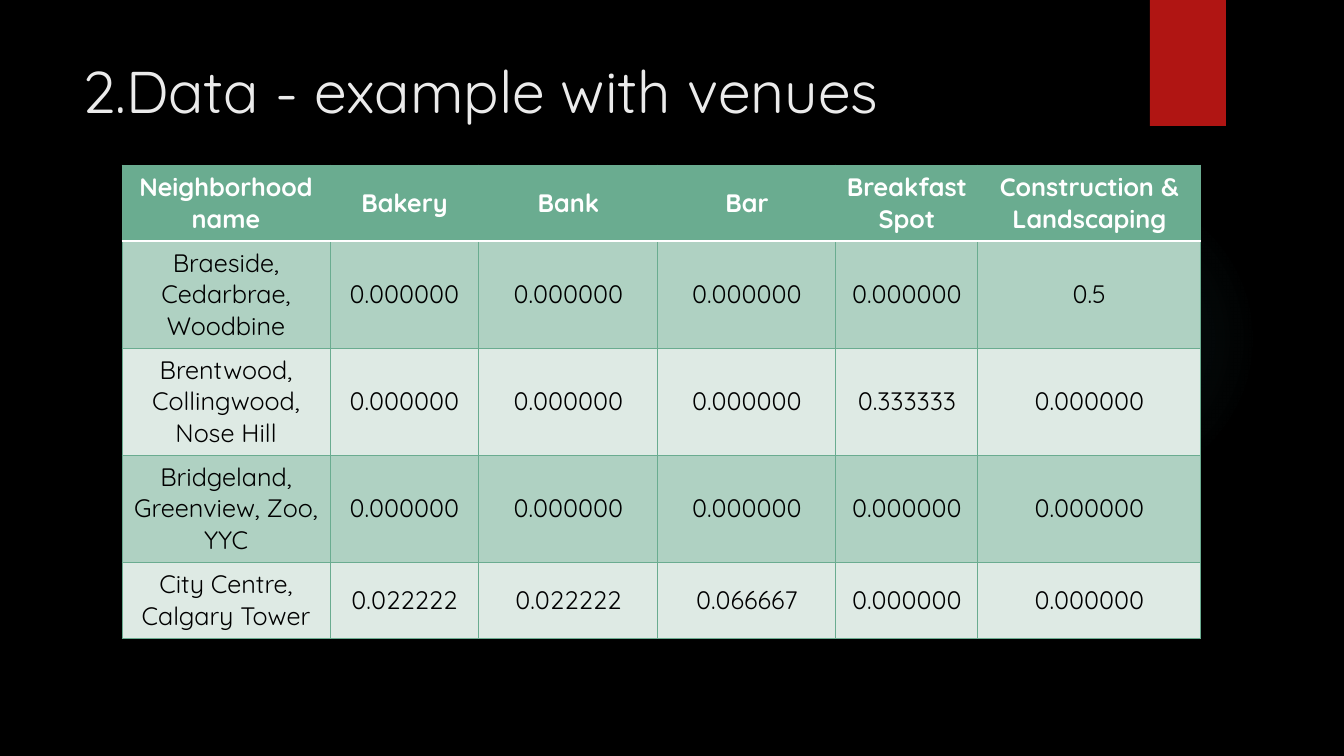
from lxml import etree
from pptx import Presentation, util as u
from pptx.dml.color import RGBColor
from pptx.enum import shapes, text
from pptx.oxml import ns

COLORS = {
    "background": "000000",
    "title": "EBEBEB",
    "accent": "B01513",
    "glow": "50B9C1",
    "green": "6AAC90",
    "dark_band": "AFD1C2",
    "light_band": "DEEAE4",
    "white": "FFFFFF",
    "black": "000000",
}
FONT = "Quicksand"
EMU_PER_PX = 914400 / 100.8

COLUMN_WIDTHS = [208, 149, 179, 178, 142, 223]
ROW_HEIGHTS = [76, 107, 107, 107, 76]
VENUES = [
    ["Neighborhood name", "Bakery", "Bank", "Bar", "Breakfast Spot", "Construction & Landscaping"],
    ["Braeside, Cedarbrae, Woodbine", "0.000000", "0.000000", "0.000000", "0.000000", "0.5"],
    ["Brentwood, Collingwood, Nose Hill", "0.000000", "0.000000", "0.000000", "0.333333", "0.000000"],
    ["Bridgeland, Greenview, Zoo, YYC", "0.000000", "0.000000", "0.000000", "0.000000", "0.000000"],
    ["City Centre, Calgary Tower", "0.022222", "0.022222", "0.066667", "0.000000", "0.000000"],
]


def px(length):
    return u.Emu(round(length * EMU_PER_PX))


def rgb(name):
    return RGBColor.from_string(COLORS[name])


def add_node(parent, tag, **attributes):
    return etree.SubElement(parent, ns.qn(tag), {key: str(value) for key, value in attributes.items()})


class VenueSlide:
    def __init__(self, presentation):
        self.slide = presentation.slides.add_slide(presentation.slide_layouts[5])
        background = self.slide.background.fill
        background.solid()
        background.fore_color.rgb = rgb("background")

    def style(self, paragraph, size, color, bold=False):
        paragraph.font.name = FONT
        paragraph.font.size = u.Pt(size)
        paragraph.font.bold = bold
        paragraph.font.color.rgb = rgb(color)

    def title(self, wording, left, top, width, height):
        title = self.slide.shapes.title
        title.left, title.top, title.width, title.height = map(px, (left, top, width, height))
        frame = title.text_frame
        frame.text = wording
        frame.word_wrap = True
        frame.vertical_anchor = text.MSO_ANCHOR.TOP
        frame.paragraphs[0].alignment = text.PP_ALIGN.LEFT
        self.style(frame.paragraphs[0], 42, "title")

    def shape(self, preset, left, top, width, height, color):
        shape = self.slide.shapes.add_shape(preset, *map(px, (left, top, width, height)))
        shape.shadow.inherit = False
        shape.line.fill.background()
        shape.fill.solid()
        shape.fill.fore_color.rgb = rgb(color)
        return shape

    def glow(self, left, top, size):
        """Add a circle that fades out from its centre."""
        circle = self.shape(shapes.MSO_SHAPE.OVAL, left, top, size, size, "glow")
        solid = circle.fill._xPr.find(ns.qn("a:solidFill"))
        gradient = etree.Element(ns.qn("a:gradFill"))
        stops = add_node(gradient, "a:gsLst")
        for position, opacity in ((0, 7), (36, 6), (69, 0)):
            stop = add_node(stops, "a:gs", pos=position * 1000)
            color = add_node(stop, "a:srgbClr", val=COLORS["glow"])
            add_node(color, "a:alpha", val=opacity * 1000)
        radial = add_node(gradient, "a:path", path="circle")
        add_node(radial, "a:fillToRect", l=50000, t=50000, r=50000, b=50000)
        solid.getparent().replace(solid, gradient)

    def border(self, cell, side, color, points):
        line = add_node(cell._tc.get_or_add_tcPr(), f"a:ln{side}", w=u.Pt(points))
        add_node(add_node(line, "a:solidFill"), "a:srgbClr", val=COLORS[color])

    def cell(self, cell, wording, row):
        header = row == 0
        cell.text = wording
        cell.vertical_anchor = text.MSO_ANCHOR.MIDDLE
        cell.margin_left = cell.margin_right = cell.margin_top = cell.margin_bottom = px(6)
        paragraph = cell.text_frame.paragraphs[0]
        paragraph.alignment = text.PP_ALIGN.CENTER
        self.style(paragraph, 18, "white" if header else "black", header)
        for side in "LRTB":
            under_header = (row, side) in ((0, "B"), (1, "T"))
            self.border(cell, side, *(("white", 1.5) if under_header else ("green", 0.75)))
        cell.fill.solid()
        band = "dark_band" if row % 2 else "light_band"
        cell.fill.fore_color.rgb = rgb("green" if header else band)

    def table(self, rows, left, top, widths, heights):
        frame = self.slide.shapes.add_table(
            len(heights), len(widths), *map(px, (left, top, sum(widths), sum(heights))))
        table = frame.table
        table.horz_banding = False
        for column, width in zip(table.columns, widths):
            column.width = px(width)
        for index, (row, height) in enumerate(zip(table.rows, heights)):
            row.height = px(height)
            for cell, wording in zip(row.cells, rows[index]):
                self.cell(cell, wording, index)


def main():
    presentation = Presentation()
    presentation.slide_width, presentation.slide_height = px(1344), px(756)
    slide = VenueSlide(presentation)
    slide.glow(949, 184, 310)
    slide.shape(shapes.MSO_SHAPE.RECTANGLE, 1150, 0, 76, 126, "accent")
    slide.title("2.Data - example with venues", 72, 50, 1038, 154)
    slide.table(VENUES, 122, 165, COLUMN_WIDTHS, ROW_HEIGHTS)
    presentation.save("out.pptx")


if __name__ == "__main__":
    main()
